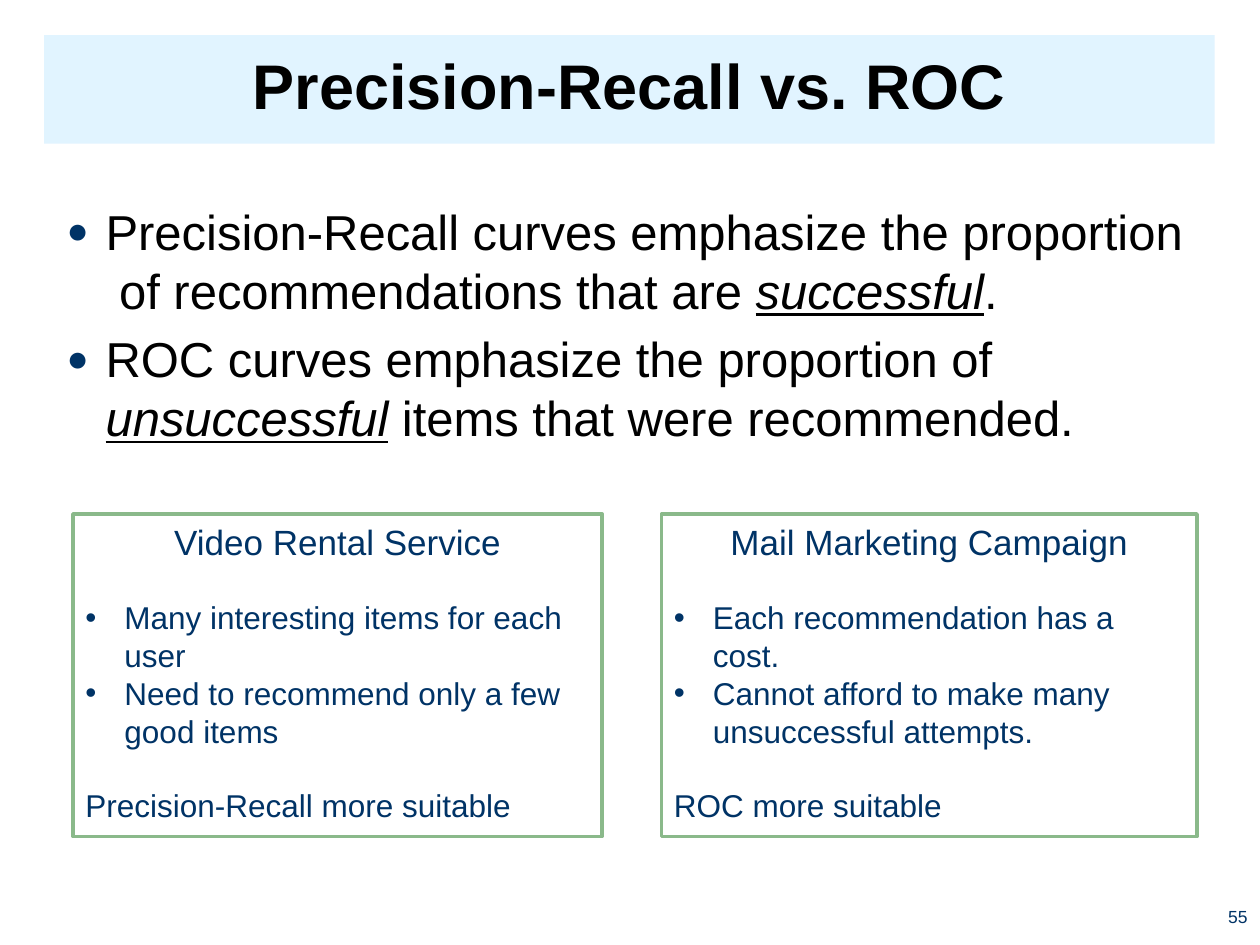
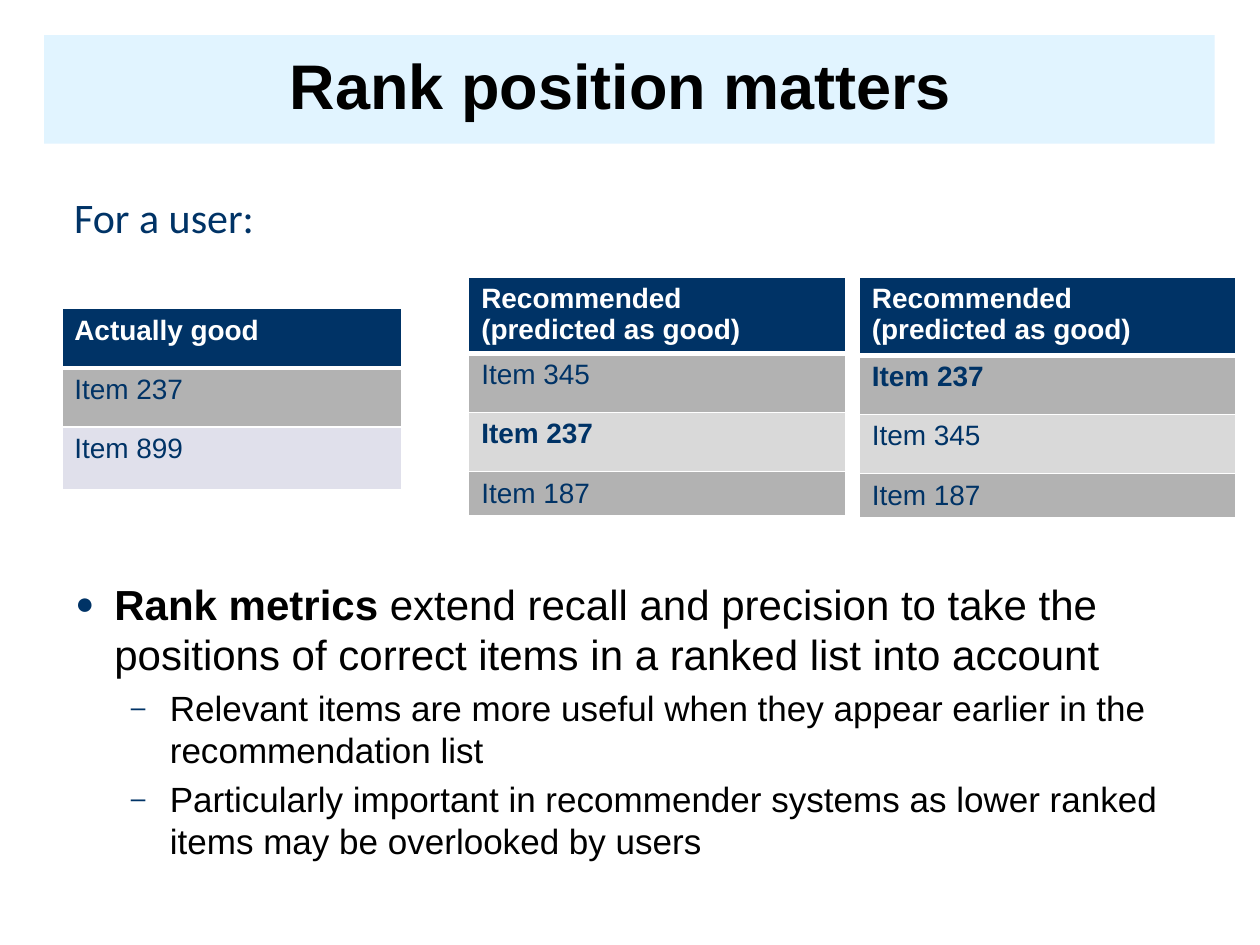
import dataclasses

import pptx
import pptx.dml.color
import pptx.enum.shapes
import pptx.enum.text
import pptx.oxml.ns
import pptx.util
from lxml import etree
from pptx.util import Inches

ALIGN = pptx.enum.text.PP_ALIGN
ANCHOR = pptx.enum.text.MSO_ANCHOR
SHAPE = pptx.enum.shapes.MSO_SHAPE


@dataclasses.dataclass(frozen=True)
class Theme:
    """Colours, fonts and type sizes shared by the slides."""
    navy: str = "003366"
    black: str = "000000"
    white: str = "FFFFFF"
    band: str = "E1F4FF"
    panel_line: str = "8AB98A"
    dark_row: str = "B2B2B2"
    light_row: str = "D9D9D9"
    lilac_row: str = "E0E0EB"
    font: str = "Arial"
    label_font: str = "Calibri"
    title_size: int = 36
    lead_size: int = 28
    body_size: int = 24
    sub_size: int = 20
    panel_size: int = 18
    cell_size: int = 16
    number_size: int = 10
    blank_line: float = 20.7


THEME = Theme()
EMPHASIS = {"italic": True, "underline": True}
BOLD = {"bold": True}


def rgb(colour):
    """Return a colour object for a hex string."""
    return pptx.dml.color.RGBColor.from_string(colour)


def add_node(parent, tag, **attributes):
    """Append a drawing element with the given attributes."""
    node = etree.SubElement(parent, pptx.oxml.ns.qn(tag))
    for name, value in attributes.items():
        node.set(name, str(value))
    return node


def apply(target, formats):
    """Set each attribute named in a dict of format values."""
    for name, value in formats.items():
        setattr(target, name, value)


def write(paragraph, pieces, size, colour, formats=None, font=THEME.font):
    """Write plain strings or (string, formats) pairs as runs."""
    apply(paragraph, formats or {})
    for piece in pieces:
        words, style = (piece, {}) if isinstance(piece, str) else piece
        run = paragraph.add_run()
        run.text = words
        apply(run.font, {"name": font, "size": pptx.util.Pt(size), **style})
        run.font.color.rgb = rgb(colour)


def next_paragraph(frame):
    """Return the unused first paragraph or a new one."""
    first = frame.paragraphs[0]
    return frame.add_paragraph() if first.runs else first


def add_bullet(paragraph, mark, left=0.31, percent=100):
    """Give a paragraph a navy bullet with a hanging indent."""
    properties = paragraph._p.get_or_add_pPr()
    properties.set("marL", str(Inches(left)))
    properties.set("indent", str(Inches(-0.31)))
    colour = add_node(properties, "a:buClr")
    add_node(colour, "a:srgbClr", val=THEME.navy)
    add_node(properties, "a:buSzPct", val=percent * 1000)
    add_node(properties, "a:buFont", typeface=THEME.font)
    add_node(properties, "a:buChar", char=mark)


def add_text_area(slide, box, formats=None):
    """Add a text box and return its frame."""
    frame = slide.shapes.add_textbox(*map(Inches, box)).text_frame
    apply(frame, {"word_wrap": True, **(formats or {})})
    return frame


def add_box(slide, box, fill, line=None):
    """Add a flat rectangle and return its text frame."""
    shape = slide.shapes.add_shape(SHAPE.RECTANGLE, *map(Inches, box))
    shape.shadow.inherit = False
    shape.fill.solid()
    shape.fill.fore_color.rgb = rgb(fill)
    if line:
        shape.line.color.rgb = rgb(line)
        shape.line.width = pptx.util.Pt(2)
    else:
        shape.line.fill.background()
    shape.text_frame.word_wrap = True
    return shape.text_frame


def add_title(slide, title):
    """Add the title band."""
    frame = add_box(slide, (0.35, 0.28, 9.29, 0.86), THEME.band)
    frame.vertical_anchor = ANCHOR.MIDDLE
    write(frame.paragraphs[0], [(title, BOLD)], THEME.title_size, THEME.black,
          {"alignment": ALIGN.CENTER, "line_spacing": 0.9})


def add_body(slide, box, points):
    """Add bulleted points given as (level, size, pieces)."""
    frame = add_text_area(slide, box)
    for level, size, pieces in points:
        paragraph = next_paragraph(frame)
        mark, left = (("●", 0.31), ("–", 0.75))[level]
        add_bullet(paragraph, mark, left, 75)
        write(paragraph, pieces, size, THEME.black,
              {"level": level, "space_before": pptx.util.Pt(0.2 * size)})


def add_panel(slide, left, width, heading, reasons, verdict):
    """Add an outlined panel with a heading, reasons and a verdict."""
    frame = add_box(slide, (left, 4.08, width, 2.56), THEME.white, THEME.panel_line)
    frame.vertical_anchor = ANCHOR.TOP
    gap = pptx.util.Pt(THEME.blank_line)
    write(next_paragraph(frame), [heading], THEME.sub_size, THEME.navy,
          {"alignment": ALIGN.CENTER, "space_after": gap})
    for reason in reasons:
        paragraph = next_paragraph(frame)
        add_bullet(paragraph, "•")
        write(paragraph, [reason], THEME.panel_size, THEME.navy,
              {"alignment": ALIGN.LEFT})
    write(next_paragraph(frame), [verdict], THEME.panel_size, THEME.navy,
          {"alignment": ALIGN.LEFT, "space_before": gap})


def add_cell_borders(cell, row):
    """Draw white borders, thicker beneath the header."""
    properties = cell._tc.get_or_add_tcPr()
    widths = {"L": 1, "R": 1, "T": 3 if row == 1 else 1, "B": 3 if row == 0 else 1}
    for side, width in widths.items():
        line = add_node(properties, f"a:ln{side}", w=pptx.util.Pt(width))
        fill = add_node(line, "a:solidFill")
        add_node(fill, "a:srgbClr", val=THEME.white)


def add_item_list(slide, left, top, width, heights, header, items, fills, hit=None):
    """Add a one-column item table with the hit in bold."""
    box = (left, top, width, sum(heights))
    table = slide.shapes.add_table(len(heights), 1, *map(Inches, box)).table
    rows = zip(heights, [header, *items], [THEME.navy, *fills])
    for row, (height, words, fill) in enumerate(rows):
        table.rows[row].height = Inches(height)
        cell = table.cell(row, 0)
        add_cell_borders(cell, row)
        cell.fill.solid()
        cell.fill.fore_color.rgb = rgb(fill)
        cell.margin_bottom = Inches(0.02)
        colour = THEME.navy if row else THEME.white
        for line in words.split("\n"):
            style = {"bold": row == 0 or line == hit}
            write(next_paragraph(cell.text_frame), [(line, style)],
                  THEME.cell_size, colour)


def build_comparison(slide):
    """Compare precision-recall curves with ROC curves."""
    add_title(slide, "Precision-Recall vs. ROC")
    add_body(slide, (0.43, 1.55, 9.14, 2.4), [
        (0, THEME.lead_size, [
            "Precision-Recall curves emphasize the proportion  of recommendations that are ",
            ("successful", EMPHASIS), "."]),
        (0, THEME.lead_size, [
            "ROC curves emphasize the proportion of ",
            ("unsuccessful", EMPHASIS), " items that were recommended."]),
    ])
    page = add_text_area(slide, (9.6, 7.01, 0.4, 0.4),
                         {"vertical_anchor": ANCHOR.BOTTOM})
    write(page.paragraphs[0], ["55"], THEME.number_size, THEME.navy,
          {"alignment": ALIGN.RIGHT})
    add_panel(slide, 0.58, 4.2, "Video Rental Service",
              ["Many interesting items for each user",
               "Need to recommend only a few good items"],
              "Precision-Recall more suitable")
    add_panel(slide, 5.25, 4.25, "Mail Marketing Campaign",
              ["Each recommendation has a cost.",
               "Cannot afford to make many unsuccessful attempts."],
              "ROC more suitable")


def build_ranking(slide):
    """Show why the rank position of a good item matters."""
    add_body(slide, (0.5, 4.54, 9, 2.08), [
        (0, THEME.body_size, [
            ("Rank metrics", BOLD),
            " extend recall and precision to take the positions of correct items"
            " in a ranked list into account"]),
        (1, THEME.sub_size, [
            "Relevant items are more useful when they appear earlier in the"
            " recommendation list"]),
        (1, THEME.sub_size, [
            "Particularly important in recommender systems as lower ranked items"
            " may be overlooked by users"]),
    ])
    add_title(slide, "Rank position matters ")
    label = add_text_area(slide, (0.49, 1.47, 1.67, 0.5), {"word_wrap": False})
    write(label.paragraphs[0], ["For a user:"], THEME.body_size, THEME.navy,
          font=THEME.label_font)
    add_item_list(slide, 0.49, 2.45, 2.7, (0.47, 0.47, 0.5), "Actually good",
                  ["Item 237", "Item 899"], [THEME.dark_row, THEME.lilac_row])
    rankings = [
        (3.72, 0.58, ["Item 345", "Item 237", "Item 187"]),
        (6.82, 0.62, ["Item 237", "Item 345", "Item 187"]),
    ]
    for left, header_height, items in rankings:
        add_item_list(slide, left, 2.2, 2.99, (header_height, 0.47, 0.47, 0.35),
                      "Recommended\n(predicted as good)", items,
                      [THEME.dark_row, THEME.light_row, THEME.dark_row], "Item 237")


def main():
    """Build and save the presentation."""
    deck = pptx.Presentation()
    apply(deck, {"slide_width": Inches(10), "slide_height": Inches(7.5)})
    for build in (build_comparison, build_ranking):
        build(deck.slides.add_slide(deck.slide_layouts[6]))
    deck.save("out.pptx")


if __name__ == "__main__":
    main()
